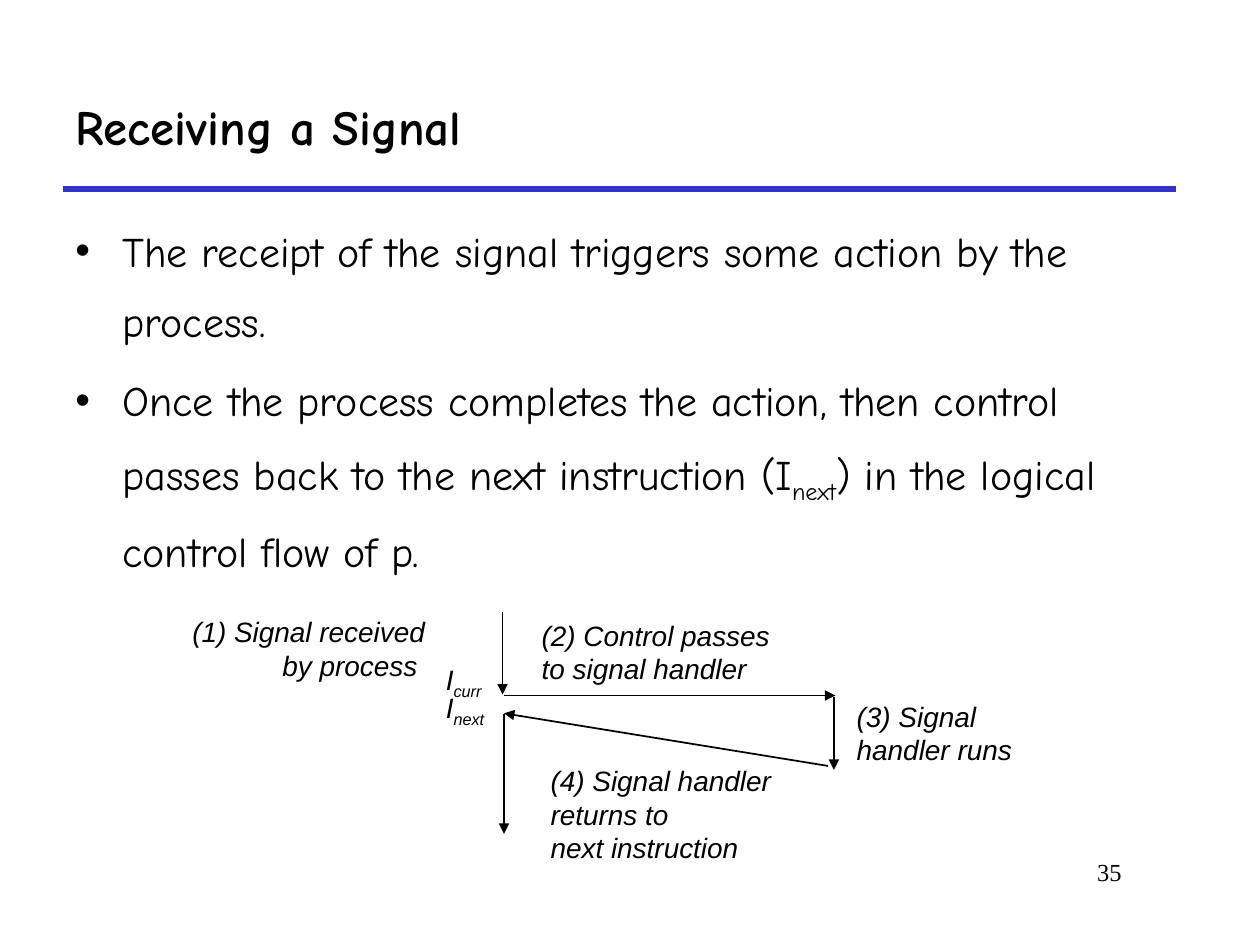
import pptx
import pptx.util
import pptx.dml.color
import pptx.enum.shapes
import pptx.enum.text
import pptx.oxml.ns
import lxml.etree

Cm = pptx.util.Cm
Pt = pptx.util.Pt
ALIGN = pptx.enum.text.PP_ALIGN
ANCHOR = pptx.enum.text.MSO_ANCHOR
BLACK = pptx.dml.color.RGBColor(0x00, 0x00, 0x00)
BLUE = pptx.dml.color.RGBColor(0x33, 0x33, 0xCC)

TITLE = "Receiving a Signal"
POINTS = [
    ["The receipt of the signal triggers some action by the process."],
    ["Once the process completes the action, then control passes back "
     "to the next instruction (I", "next", ") in the logical control flow of p."],
]
PAGE = "35"
RULE = (1.27, 3.81, 23.7, 3.81)
STEPS = [
    ((3.33, 12.27, 5.49, 1.63), ["(1) Signal received by process "], True, ALIGN.RIGHT),
    ((10.67, 12.34, 5.33, 1.63), ["(2) Control passes", "to signal handler"], False, ALIGN.LEFT),
    ((17.02, 13.97, 4.14, 1.63), ["(3) Signal handler runs"], True, ALIGN.LEFT),
    ((10.85, 15.27, 5, 2.31),
     ["(4) Signal handler", "returns to", "next instruction"], False, ALIGN.LEFT),
]
MARKS = [
    ((8.74, 13.23, 1.32, 0.94), ["I", "curr"]),
    ((8.74, 13.79, 1.4, 0.94), ["I", "next"]),
]
FLOW = [
    (10.13, 12.34, 10.13, 14),
    (10.16, 14.02, 16.84, 14.02),
    (16.81, 14.05, 16.81, 15.52),
    (16.69, 15.44, 10.16, 14.38),
    (10.16, 14.4, 10.16, 16.81),
]


def add_node(parent, tag, **attrs):
    node = lxml.etree.SubElement(parent, pptx.oxml.ns.qn(tag))
    for key, val in attrs.items():
        node.set(key, val)
    return node


def add_line(slide, ends, color, width, arrow=False):
    line = slide.shapes.add_connector(
        pptx.enum.shapes.MSO_CONNECTOR.STRAIGHT, *[Cm(v) for v in ends])
    line.line.color.rgb = color
    line.line.width = Pt(width)
    if arrow:
        add_node(line.line._get_or_add_ln(), "a:tailEnd", type="triangle")
    add_node(line._element.spPr, "a:effectLst")


def add_text(slide, box, paras, font, size, wrap=True, align=ALIGN.LEFT,
             anchor=ANCHOR.TOP, bold=False, italic=False):
    frame = slide.shapes.add_textbox(*[Cm(v) for v in box]).text_frame
    frame.word_wrap = wrap
    frame.vertical_anchor = anchor
    for num, parts in enumerate(paras):
        para = frame.add_paragraph() if num else frame.paragraphs[0]
        para.alignment = align
        for pos, part in enumerate(parts):
            run = para.add_run()
            run.text = part
            run.font.name = font
            run.font.size = Pt(size)
            run.font.bold = bold
            run.font.italic = italic
            run.font.color.rgb = BLACK
            if pos % 2:
                run.font._element.set("baseline", "-25000")
    return frame


def add_points(slide):
    frame = add_text(slide, (1.27, 4.01, 22.86, 7.62), POINTS, "Comic Neue", 24)
    for para in frame.paragraphs:
        para.line_spacing = 1.4
        para.space_before = Pt(4.8)
        props = para._p.get_or_add_pPr()
        props.set("marL", str(Cm(0.95)))
        props.set("indent", str(-Cm(0.95)))
        add_node(props, "a:buFont", typeface="Arial")
        add_node(props, "a:buChar", char="•")


def main():
    deck = pptx.Presentation()
    deck.slide_width = Cm(25.4)
    deck.slide_height = Cm(19.05)
    slide = deck.slides.add_slide(deck.slide_layouts[6])

    add_line(slide, RULE, BLUE, 3)
    add_text(slide, (19.25, 17.15, 3.61, 1.27), [[PAGE]], "Times New Roman", 14,
             align=ALIGN.RIGHT)
    add_text(slide, (1.27, 1.27, 22.43, 2.54), [[TITLE]], "Comic Neue", 28,
             anchor=ANCHOR.MIDDLE, bold=True)
    add_points(slide)

    for ends in FLOW:
        add_line(slide, ends, BLACK, 1, arrow=True)
    for box, lines, wrap, align in STEPS:
        add_text(slide, box, [[line] for line in lines], "Arial", 16,
                 wrap=wrap, align=align, italic=True)
    for box, parts in MARKS:
        add_text(slide, box, [parts], "Arial", 16, wrap=False, italic=True)

    deck.save("out.pptx")


if __name__ == "__main__":
    main()
